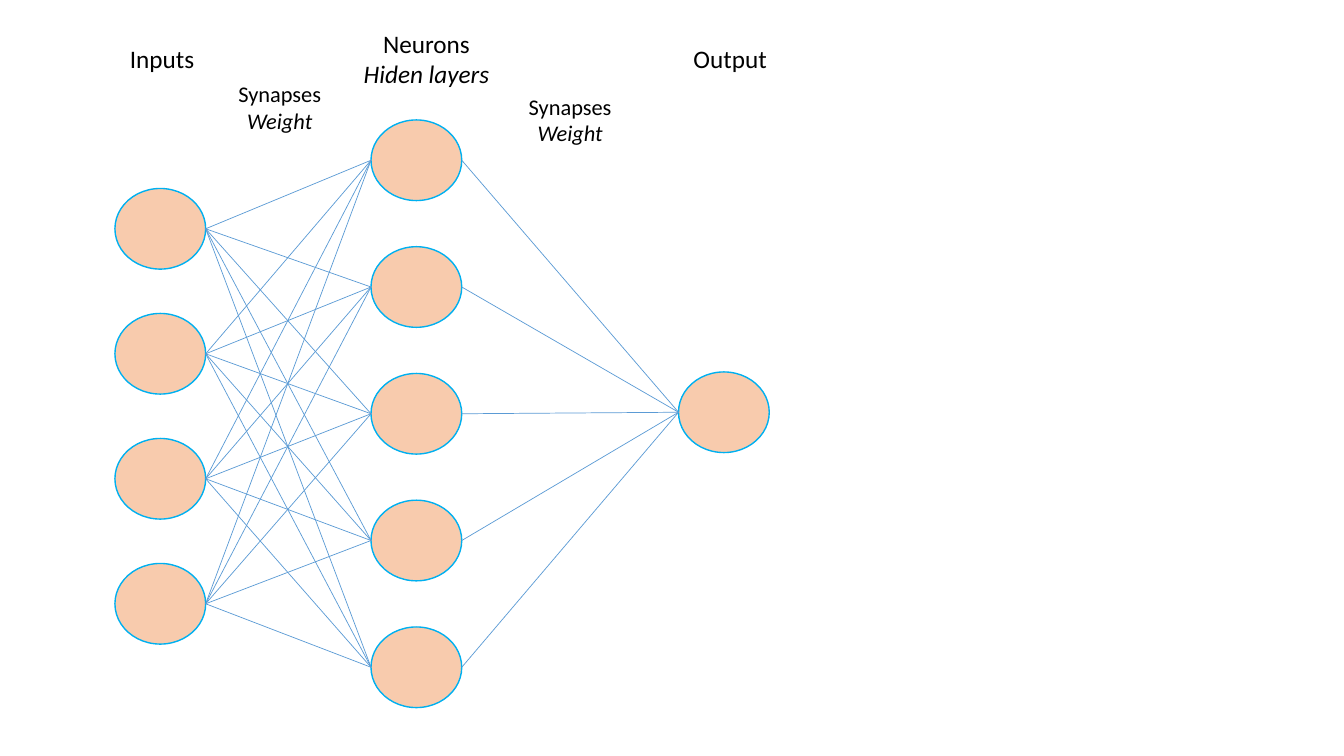
from itertools import pairwise, product

from pptx import Presentation
from pptx import util as u
from pptx.dml.color import RGBColor
from pptx.enum import shapes, text
from pptx.oxml.ns import qn
from lxml import etree


def colour(hex_code):
    return RGBColor.from_string(hex_code)


class NetworkSlide:
    FONT = "Calibri"
    INK, NODE, RIM, SYNAPSE = "000000", "F8CBAD", "00B0F0", "5B9BD5"
    NODE_WIDTH, NODE_HEIGHT = 0.9, 0.8

    def __init__(self, slide):
        self.shapes = slide.shapes

    def outline(self, line, hex_code, points):
        line.color.rgb = colour(hex_code)
        line.width = u.Pt(points)

    def neuron(self, left, top):
        node = self.shapes.add_shape(
            shapes.MSO_SHAPE.OVAL, u.Inches(left), u.Inches(top),
            u.Inches(self.NODE_WIDTH), u.Inches(self.NODE_HEIGHT))
        node.shadow.inherit = False
        node.fill.solid()
        node.fill.fore_color.rgb = colour(self.NODE)
        self.outline(node.line, self.RIM, 1)
        return node

    def layer(self, left, first_top, last_top, count):
        """Stack evenly spaced neurons from first_top to last_top."""
        step = (last_top - first_top) / max(count - 1, 1)
        return [self.neuron(left, first_top + i * step) for i in range(count)]

    def synapse(self, source, target):
        """Join the right edge of source to the left edge of target."""
        link = self.shapes.add_connector(
            shapes.MSO_CONNECTOR.STRAIGHT,
            source.left + source.width, source.top + source.height // 2,
            target.left, target.top + target.height // 2)
        self.outline(link.line, self.SYNAPSE, 0.5)
        etree.SubElement(link._element.spPr, qn("a:effectLst"))

    def label(self, box, size, title, subtitle=None):
        """Add a title, with an optional italic subtitle centred below it."""
        frame = self.shapes.add_textbox(*map(u.Inches, box)).text_frame
        settings = {"word_wrap": False,
                    "auto_size": text.MSO_AUTO_SIZE.SHAPE_TO_FIT_TEXT}
        for name, value in settings.items():
            setattr(frame, name, value)
        self.add_words(frame.paragraphs[0], title, size)
        if subtitle:
            self.add_words(frame.add_paragraph(), subtitle, size, italic=True)
            for paragraph in frame.paragraphs:
                paragraph.alignment = text.PP_ALIGN.CENTER

    def add_words(self, paragraph, words, size, **extra):
        run = paragraph.add_run()
        run.text = words
        run.font.color.rgb = colour(self.INK)
        for name, value in {"name": self.FONT, "size": u.Pt(size), **extra}.items():
            setattr(run.font, name, value)


def main():
    deck = Presentation()
    deck.slide_width, deck.slide_height = u.Inches(13.33), u.Inches(7.5)
    network = NetworkSlide(deck.slides.add_slide(deck.slide_layouts[6]))

    inputs = network.layer(1.14, 1.87, 5.59, 4)
    hidden = network.layer(3.68, 1.19, 6.22, 5)
    output = network.layer(6.73, 3.69, 3.69, 1)
    for sources, targets in pairwise([inputs, hidden, output]):
        for source, target in product(sources, targets):
            network.synapse(source, target)

    network.label((1.19, 0.38, 0.85, 0.4), 18, "Inputs")
    network.label((3.5, 0.23, 1.46, 0.71), 18, "Neurons", "Hiden layers")
    network.label((6.78, 0.38, 0.94, 0.4), 18, "Output")
    for left, top in [(2.26, 0.75), (5.14, 0.87)]:
        network.label((left, top, 1.03, 0.64), 16, "Synapses", "Weight")

    deck.save("out.pptx")


if __name__ == "__main__":
    main()
